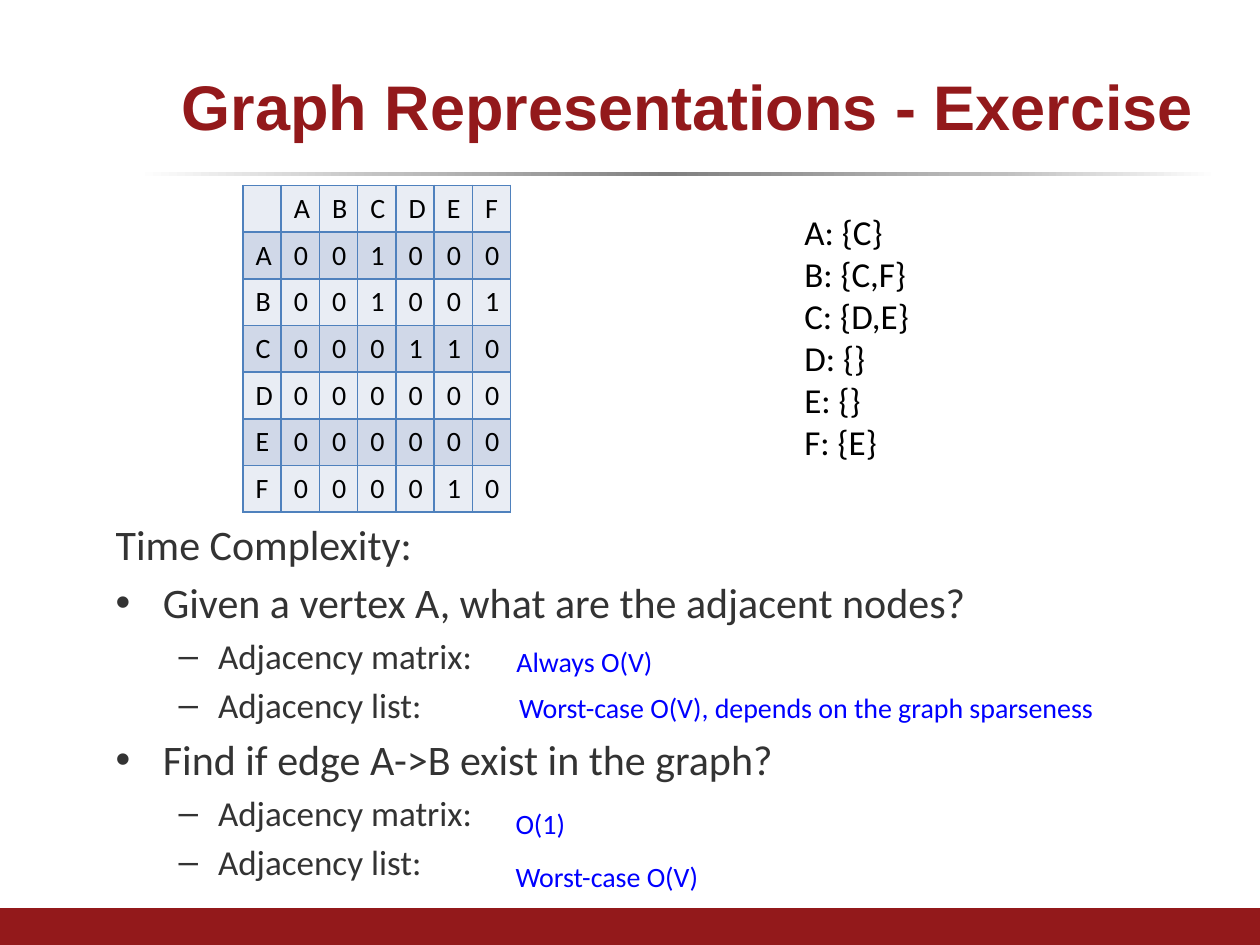
from dataclasses import dataclass

from lxml import etree
from pptx import Presentation
from pptx import util as u
from pptx.dml import color
from pptx.enum import shapes, text
from pptx.oxml import ns


@dataclass(frozen=True)
class Theme:
    red: str = "93191B"
    body: str = "333333"
    black: str = "000000"
    answer: str = "0000FF"
    border: str = "4F81BD"
    bands: tuple = ("E9EDF4", "D0D8E8")
    rule: tuple = ((0, "FFFFFF"), (24, "BFBFBF"), (49, "808080"), (80, "BFBFBF"), (100, "FFFFFF"))
    title_font: str = "Arial"
    font: str = "Calibri"
    title_size: int = 36
    question_size: int = 24
    item_size: int = 20
    small_size: int = 16


THEME = Theme()

NODES = "ABCDEF"
NEIGHBOURS = {"A": "C", "B": "CF", "C": "DE", "D": "", "E": "", "F": "E"}

# Left indent, first-line indent, bullet, size
PLAIN = (22.5, 0, None, THEME.question_size)
QUESTION = (49.5, -27, "•", THEME.question_size)
ITEM = (81, -22.5, "–", THEME.item_size)
ADJACENCY = (81, 0, None, THEME.item_size)

COMPLEXITY = [
    ("Time Complexity:", PLAIN),
    ("Given a vertex A, what are the adjacent nodes?", QUESTION),
    ("Adjacency matrix:", ITEM),
    ("Adjacency list:", ITEM),
    ("Find if edge A->B exist in the graph?", QUESTION),
    ("Adjacency matrix:", ITEM),
    ("Adjacency list:", ITEM),
]

ANSWERS = [
    ("Always O(V)", 288, 364.5, 167),
    ("Worst-case O(V), depends on the graph sparseness", 289.5, 391, 430.5),
    ("O(1)", 287.5, 457.5, 167),
    ("Worst-case O(V)", 287.5, 487.5, 167),
]


def add_xml(parent, tag, **attributes):
    return etree.SubElement(parent, ns.qn(tag), attributes)


def format_paragraph(paragraph, size, rgb, font=THEME.font, bold=False):
    for run in paragraph.runs:
        run.font.size = u.Pt(size)
        run.font.name = font
        run.font.bold = bold
        run.font.color.rgb = color.RGBColor.from_string(rgb)


def add_bar(slide, left, top, width, height):
    shape = slide.shapes.add_shape(
        shapes.MSO_SHAPE.RECTANGLE, u.Pt(left), u.Pt(top), u.Pt(width), u.Pt(height))
    shape.shadow.inherit = False
    shape.line.fill.background()
    return shape


def fill_gradient(shape, stops):
    shape.fill.gradient()
    shape.fill.gradient_angle = 0
    stop_list = shape.element.spPr.find(".//" + ns.qn("a:gsLst"))
    for stop in list(stop_list):
        stop_list.remove(stop)
    for position, rgb in stops:
        stop = add_xml(stop_list, "a:gs", pos=str(position * 1000))
        add_xml(stop, "a:srgbClr", val=rgb)


def add_text_frame(slide, left, top, width, height):
    shape = slide.shapes.add_textbox(u.Pt(left), u.Pt(top), u.Pt(width), u.Pt(height))
    shape.text_frame.word_wrap = True
    return shape.text_frame


def add_title(slide, wording):
    frame = add_text_frame(slide, 69, 21.5, 648, 77)
    frame.vertical_anchor = text.MSO_ANCHOR.MIDDLE
    frame.text = wording
    paragraph = frame.paragraphs[0]
    paragraph.alignment = text.PP_ALIGN.CENTER
    format_paragraph(paragraph, THEME.title_size, THEME.red, THEME.title_font, bold=True)


def add_outline(frame, entries, rgb, spacing=0.0):
    frame.text = "\n".join(wording for wording, _ in entries)
    for paragraph, (_, (left, first_line, bullet, size)) in zip(frame.paragraphs, entries):
        paragraph.level = 1 if left == 81 else 0
        paragraph.space_before = u.Pt(round(size * spacing, 1))
        properties = paragraph._p.get_or_add_pPr()
        properties.set("marL", str(u.Pt(left)))
        properties.set("indent", str(u.Pt(first_line)))
        if bullet:
            add_xml(properties, "a:buFont", typeface="Arial")
            add_xml(properties, "a:buChar", char=bullet)
        else:
            add_xml(properties, "a:buNone")
        format_paragraph(paragraph, size, rgb)


def add_cell_borders(cell):
    properties = cell._tc.get_or_add_tcPr()
    for side in ("a:lnL", "a:lnR", "a:lnT", "a:lnB"):
        line = add_xml(properties, side, w=str(u.Pt(1)))
        add_xml(add_xml(line, "a:solidFill"), "a:srgbClr", val=THEME.border)


def add_matrix(slide, left, top, column_width, row_height):
    rows = [["", *NODES]]
    for node in NODES:
        rows.append([node] + [str(int(other in NEIGHBOURS[node])) for other in NODES])
    count = len(rows)
    table = slide.shapes.add_table(
        count, count, u.Pt(left), u.Pt(top),
        u.Pt(column_width * count), u.Pt(row_height * count)).table
    table.first_row = table.horz_banding = False
    for index in range(count):
        table.columns[index].width = u.Pt(column_width)
        table.rows[index].height = u.Pt(row_height)
    for row_index, row in enumerate(rows):
        for column_index, wording in enumerate(row):
            cell = table.cell(row_index, column_index)
            add_cell_borders(cell)
            cell.fill.solid()
            cell.fill.fore_color.rgb = color.RGBColor.from_string(THEME.bands[row_index % 2])
            cell.text_frame.text = wording
            paragraph = cell.text_frame.paragraphs[0]
            format_paragraph(paragraph, THEME.small_size, THEME.black)
            if not wording:  # keeps the empty corner from growing its row
                add_xml(paragraph._p, "a:endParaRPr", sz=str(THEME.small_size * 100))


def main():
    presentation = Presentation()
    presentation.slide_width, presentation.slide_height = u.Pt(720), u.Pt(540)
    slide = presentation.slides.add_slide(presentation.slide_layouts[6])

    # Rule below the title and footer band
    fill_gradient(add_bar(slide, 78, 98.5, 618, 2.2), THEME.rule)
    footer = add_bar(slide, 0, 519, 720, 21)
    footer.fill.solid()
    footer.fill.fore_color.rgb = color.RGBColor.from_string(THEME.red)

    # Title and complexity questions
    add_title(slide, "Graph Representations - Exercise")
    add_outline(add_text_frame(slide, 36.5, 292.5, 648, 408), COMPLEXITY, THEME.body, spacing=0.2)

    # Adjacency matrix and adjacency list
    add_matrix(slide, 138.8, 106, 21.87, 26.7)
    lists = [(f"{node}: {{{','.join(NEIGHBOURS[node])}}}", ADJACENCY) for node in NODES]
    add_outline(add_text_frame(slide, 371.5, 116.5, 209.5, 174), lists, THEME.black)

    # Answers
    for wording, left, top, width in ANSWERS:
        frame = add_text_frame(slide, left, top, width, 26.5)
        frame.text = wording
        format_paragraph(frame.paragraphs[0], THEME.small_size, THEME.answer)

    presentation.save("out.pptx")


if __name__ == "__main__":
    main()
